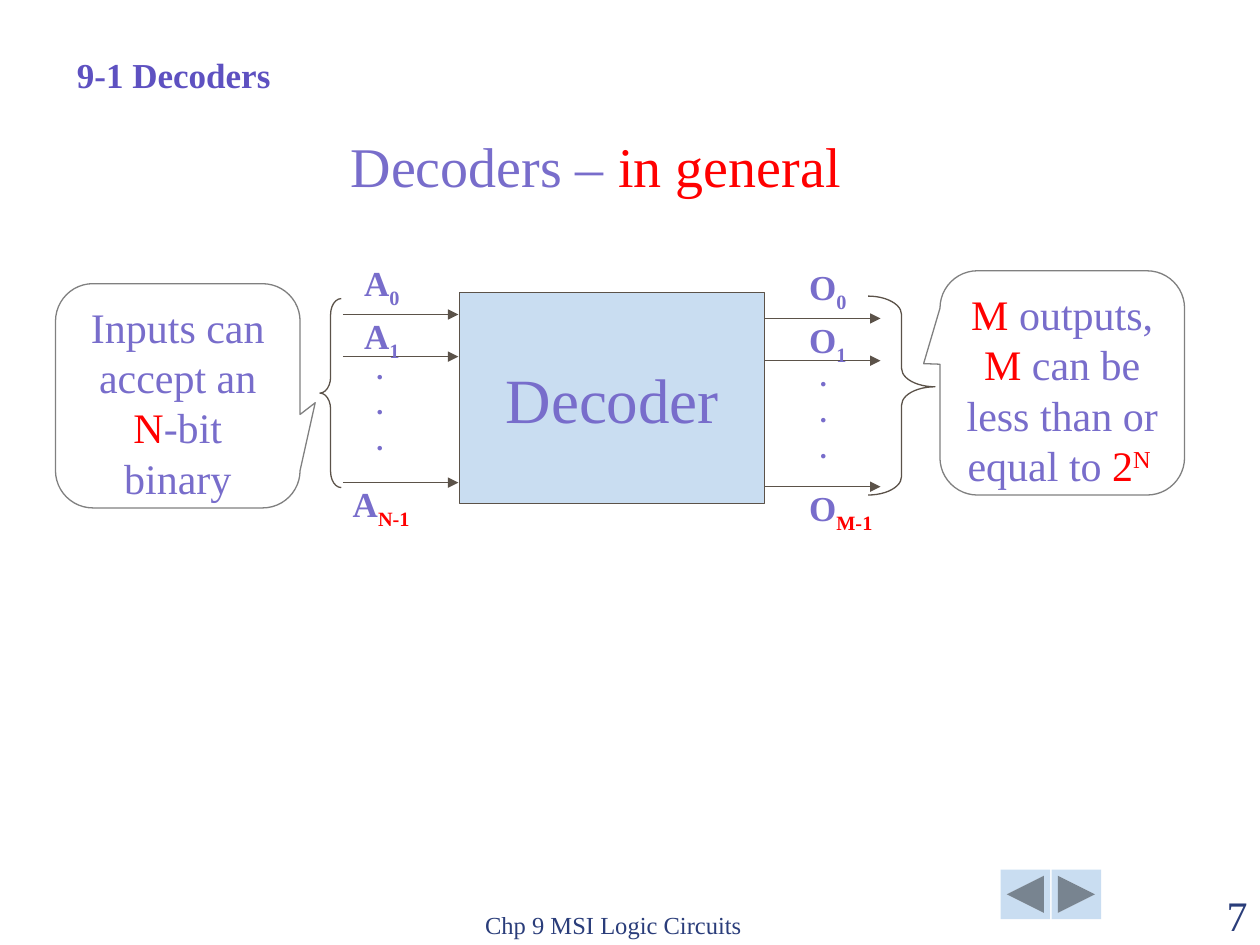
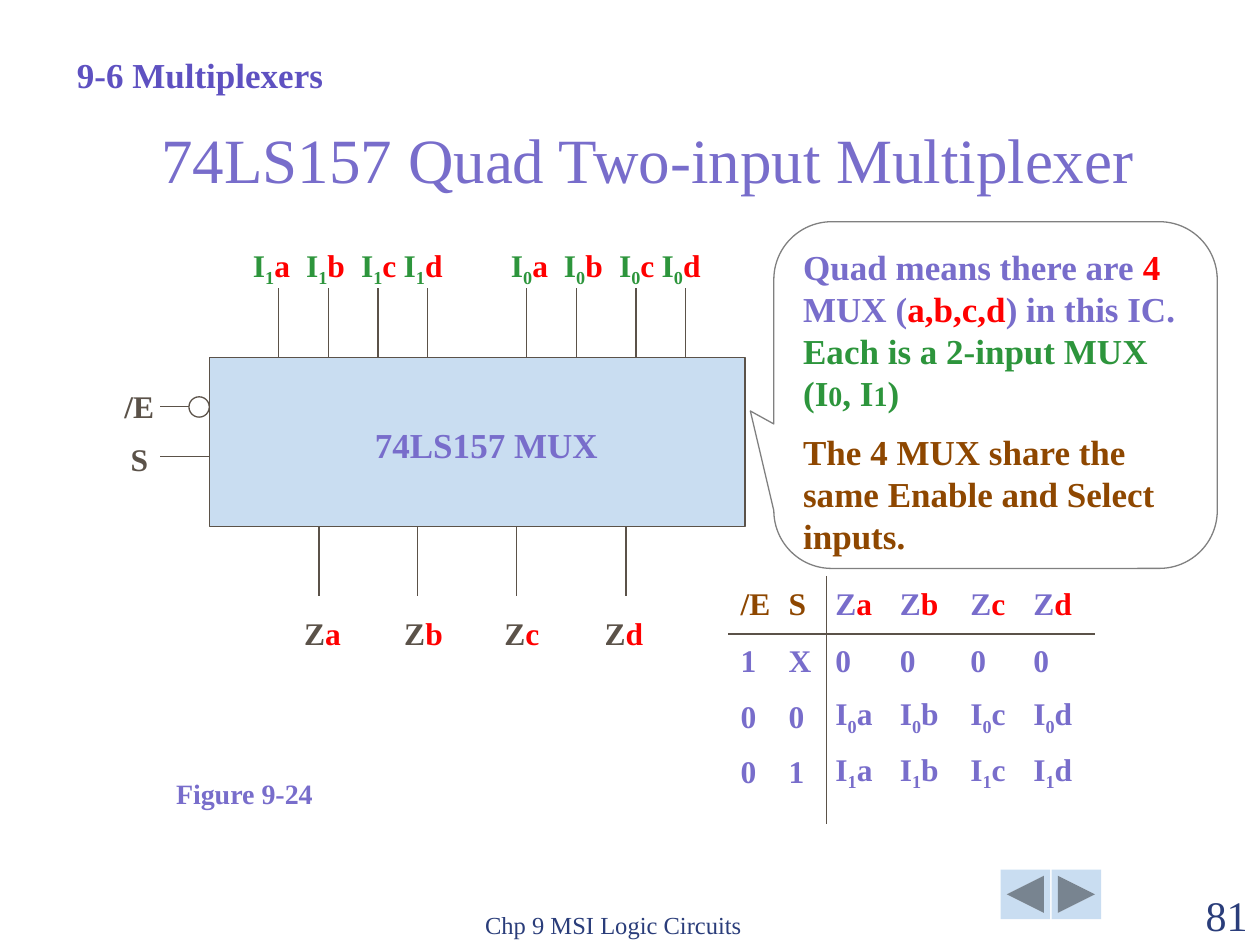
from lxml.etree import SubElement
from pptx import Presentation
from pptx.dml.color import RGBColor
from pptx.enum.shapes import MSO_CONNECTOR, MSO_SHAPE
from pptx.enum.text import MSO_ANCHOR, PP_ALIGN
from pptx.oxml.ns import qn
from pptx.util import Cm, Pt

# Shared look
FONT = "Times New Roman"
VIOLET, INDIGO, NAVY = "786DCB", "5E51C1", "2A3D7A"
RED, GREEN, BROWN = "FF0000", "2D953C", "8E4700"
INK, GREY, PALE = "5B5249", "808080", "C9DDF1"
INSET = (0.25, 0.13)
FOOTER = "Chp 9 MSI Logic Circuits"

# Content: a paragraph is a list of runs, a run is a text or (text, format)
DECODERS = {
    "section": "9-1 Decoders",
    "title": ["Decoders – ", ("in general", {"color": RED})],
    "title_box": (4.62, 2.57, 14.78, 1.52), "title_size": 32,
    "number": "7",
}
# letter, last index, arrow start, label left, last label left, dots left, drop
PORTS = [
    ("A", "N-1", 6.91, 7.34, 7.11, 7.34, 0),
    ("O", "M-1", 15.42, 16.31, 16.31, 16.28, 0.08),
]
ARROW_YS = (6.34, 7.19, 9.73)
PORT_LABEL_TOPS = (5.28, 6.35, 9.73)
BRACES = [
    (MSO_SHAPE.LEFT_BRACE, (6.45, 6.02, 0.43, 3.81), (0.75, 0.5)),
    (MSO_SHAPE.RIGHT_BRACE, (17.5, 5.97, 1.35, 4.01), (0.276, 0.456)),
]
DECODER_NOTES = [
    ((1.12, 5.72, 4.93, 4.52), (0.562, 0.031, 0.167),
     [["Inputs can accept an ", ("N", {"color": RED}), "-bit binary"]]),
    ((18.95, 5.46, 4.93, 4.52), (-0.567, -0.086, 0.167),
     [[("M", {"color": RED}), " outputs,"],
      [("M", {"color": RED}), " can be less than or equal to ",
       ("2", {"color": RED}), ("N ", {"color": RED, "base": 30})]]),
]

MULTIPLEXERS = {
    "section": "9-6 Multiplexers",
    "title": ["74LS157 Quad Two-input Multiplexer"],
    "title_box": (2.26, 2.31, 21.59, 1.73), "title_size": 36,
    "number": "81",
}
CHANNELS = "abcd"
INPUT_GROUPS = [("1", 5.1), ("0", 10.3)]
INPUT_LABEL_STEPS = (0, 1.07, 2.18, 3.04)
INPUT_WIRE_XS = (5.61, 6.62, 7.62, 8.62, 10.62, 11.62, 12.82, 13.82)
OUTPUT_WIRE_XS = (6.43, 8.42, 10.41, 12.62)
OUTPUT_LABEL_LEFT, OUTPUT_LABEL_STEP = 6.13, 2.02
MUX_NOTE = [
    ["Quad means there are ", ("4", {"color": RED}), " MUX (",
     ("a,b,c,d", {"color": RED}), ") in this IC. ",
     ("Each is a 2-input MUX (I", {"color": GREEN}),
     ("0", {"color": GREEN, "size": 16}), (", I", {"color": GREEN}),
     ("1", {"color": GREEN, "size": 16}), (")", {"color": GREEN})],
    [("The 4 MUX share the same Enable and Select inputs.", {"color": BROWN})],
]


def channel_label(letter, channel, index="", color=VIOLET, channel_color=VIOLET):
    """Runs such as I, lowered 0, a."""
    runs = [(letter, {"color": color})]
    if index:
        runs.append((index, {"color": color, "base": -25}))
    return runs + [(channel, {"color": channel_color})]


TRUTH_TABLE = [
    [[(name, {"color": BROWN})] for name in ("/E", "S")]
    + [channel_label("Z", c, channel_color=RED) for c in CHANNELS],
    [[value] for value in "1X0000"],
    [["0"], ["0"]] + [channel_label("I", c, "0") for c in CHANNELS],
    [["0"], ["1"]] + [channel_label("I", c, "1") for c in CHANNELS],
]
TRUTH_COLUMNS = (0.97, 0.94, 1.3, 1.42, 1.27, 1.24)
TRUTH_ROWS = (1.17, 1.12, 1.12, 1.12)


def rgb(code):
    return RGBColor.from_string(code)


def write(frame, paragraphs, size=20, color=VIOLET, bold=False, align=PP_ALIGN.LEFT,
          anchor=MSO_ANCHOR.TOP, inset=INSET, before=0, spacing=None):
    frame.word_wrap = True
    frame.vertical_anchor = anchor
    frame.margin_left = frame.margin_right = Cm(inset[0])
    frame.margin_top = frame.margin_bottom = Cm(inset[1])
    for i, runs in enumerate(paragraphs):
        paragraph = frame.add_paragraph() if i else frame.paragraphs[0]
        paragraph.alignment = align
        paragraph.space_before = Pt(before if i else 0)
        if spacing:
            paragraph.line_spacing = spacing
        for part in runs:
            text, style = (part, {}) if isinstance(part, str) else part
            run = paragraph.add_run()
            run.text = text
            run.font.name = FONT
            run.font.size = Pt(style.get("size", size))
            run.font.bold = bold
            run.font.color.rgb = rgb(style.get("color", color))
            if "base" in style:
                run._r.get_or_add_rPr().set("baseline", str(style["base"] * 1000))


def add_text(slide, box, paragraphs, **style):
    write(slide.shapes.add_textbox(*map(Cm, box)).text_frame, paragraphs, **style)


def add_label(slide, box, runs, **style):
    add_text(slide, box, [runs], bold=True, inset=(0, 0), **style)


def add_figure(slide, kind, box, fill=None, line=INK, adjust=()):
    figure = slide.shapes.add_shape(kind, *map(Cm, box))
    figure.shadow.inherit = False
    if fill:
        figure.fill.solid()
        figure.fill.fore_color.rgb = rgb(fill)
    else:
        figure.fill.background()
    if line:
        figure.line.color.rgb = rgb(line)
        figure.line.width = Pt(0.75)
    else:
        figure.line.fill.background()
    for i, value in enumerate(adjust):
        figure.adjustments[i] = value
    return figure


def add_callout(slide, box, adjust, paragraphs, **style):
    callout = add_figure(slide, MSO_SHAPE.ROUNDED_RECTANGULAR_CALLOUT, box,
                         line=GREY, adjust=adjust)
    write(callout.text_frame, paragraphs, **style)


def add_wire(slide, x1, y1, x2, y2, arrow=False):
    wire = slide.shapes.add_connector(MSO_CONNECTOR.STRAIGHT, *map(Cm, (x1, y1, x2, y2)))
    wire.line.color.rgb = rgb(INK)
    wire.line.width = Pt(0.75)
    properties = wire._element.spPr
    if arrow:
        SubElement(properties.find(qn("a:ln")), qn("a:tailEnd"), type="triangle")
    SubElement(properties, qn("a:effectLst"))


def start_slide(prs, content):
    """Title, section name, navigation buttons and footer."""
    slide = prs.slides.add_slide(prs.slide_layouts[5])
    title = slide.shapes.title
    title.left, title.top, title.width, title.height = map(Cm, content["title_box"])
    write(title.text_frame, [content["title"]], size=content["title_size"],
          align=PP_ALIGN.CENTER, anchor=MSO_ANCHOR.BOTTOM, spacing=0.7)
    add_text(slide, (1.3, 0.95, 7, 1.09), [[content["section"]]], color=INDIGO, bold=True)
    buttons = (MSO_SHAPE.ACTION_BUTTON_BACK_OR_PREVIOUS,
               MSO_SHAPE.ACTION_BUTTON_FORWARD_OR_NEXT)
    for i, button in enumerate(buttons):
        add_figure(slide, button, (20.17 + 1.03 * i, 17.53, 1, 1), fill=PALE, line=None)
    footer = {"color": NAVY, "anchor": MSO_ANCHOR.BOTTOM}
    add_text(slide, (9.53, 17.8, 8.05, 1.27), [[FOOTER]], size=14, **footer)
    add_text(slide, (22.86, 17.8, 2.54, 1.27), [[content["number"]]], size=24,
             align=PP_ALIGN.RIGHT, **footer)
    return slide


def build_decoders(prs):
    slide = start_slide(prs, DECODERS)
    decoder = add_figure(slide, MSO_SHAPE.RECTANGLE, (9.27, 5.9, 6.15, 4.25), fill=PALE)
    write(decoder.text_frame, [["Decoder"]], size=36, align=PP_ALIGN.CENTER,
          anchor=MSO_ANCHOR.MIDDLE)
    for kind, box, adjust in BRACES:
        add_figure(slide, kind, box, adjust=adjust)

    # Input and output lines with their labels
    for letter, last, start, left, last_left, dots_left, drop in PORTS:
        for y in ARROW_YS:
            add_wire(slide, start, y + drop, start + 2.33, y + drop, arrow=True)
        indexes = [("0", VIOLET, left), ("1", VIOLET, left), (last, RED, last_left)]
        for (index, color, x), top in zip(indexes, PORT_LABEL_TOPS):
            add_label(slide, (x, top + drop, 1.9, 0.84),
                      [letter, (index, {"color": color, "base": -25})])
        add_text(slide, (dots_left, 7.16 + 2 * drop, 0.66, 2.26), [["."]] * 3, size=16,
                 bold=True, before=8, spacing=0.65)

    for box, adjust, paragraphs in DECODER_NOTES:
        add_callout(slide, box, adjust, paragraphs, size=24, align=PP_ALIGN.CENTER)


def build_truth_table(slide):
    left, top = 14.93, 11.61
    table = slide.shapes.add_table(
        len(TRUTH_ROWS), len(TRUTH_COLUMNS), Cm(left), Cm(top),
        Cm(sum(TRUTH_COLUMNS)), Cm(sum(TRUTH_ROWS))).table
    table.first_row = table.horz_banding = False
    for column, width in zip(table.columns, TRUTH_COLUMNS):
        column.width = Cm(width)
    for r, height in enumerate(TRUTH_ROWS):
        table.rows[r].height = Cm(height)
        for c, runs in enumerate(TRUTH_TABLE[r]):
            cell = table.cell(r, c)
            write(cell.text_frame, [runs], size=18, bold=True)
            cell.margin_left = cell.margin_right = 0
            cell.margin_top = cell.margin_bottom = 0
            cell.vertical_anchor = MSO_ANCHOR.MIDDLE
            # Only the two rules show
            for side in ("a:lnL", "a:lnR", "a:lnT", "a:lnB"):
                border = SubElement(cell._tc.get_or_add_tcPr(), qn(side), w="0")
                SubElement(border, qn("a:noFill"))
            cell.fill.background()
            properties = cell._tc.get_or_add_tcPr()
            properties.append(properties.find(qn("a:noFill")))
    add_wire(slide, 16.66, top, 16.66, 16.61)
    add_wire(slide, 14.68, top + TRUTH_ROWS[0], 22.07, top + TRUTH_ROWS[0])


def build_multiplexers(prs):
    slide = start_slide(prs, MULTIPLEXERS)

    # Chip
    left, top, width, height = chip = (4.22, 7.21, 10.8, 3.4)
    add_figure(slide, MSO_SHAPE.RECTANGLE, chip, fill=PALE)
    add_text(slide, (6.81, 8.41, 5.99, 1.09), [["74LS157 MUX"]], bold=True,
             align=PP_ALIGN.CENTER)

    # Enable and select
    add_figure(slide, MSO_SHAPE.OVAL, (3.81, 8, 0.41, 0.41))
    add_wire(slide, 3.23, 8.2, 3.81, 8.2)
    add_wire(slide, 3.23, 9.2, left, 9.2)
    add_text(slide, (2.41, 7.8, 0.8, 1.91), [["/E"], ["S"]], size=18, color=INK,
             bold=True, align=PP_ALIGN.CENTER, inset=(0, 0), before=9)

    # Data inputs and outputs
    for x in INPUT_WIRE_XS:
        add_wire(slide, x, top - 1.4, x, top)
    for x in OUTPUT_WIRE_XS:
        add_wire(slide, x, top + height, x, top + height + 1.4)
    for index, group_left in INPUT_GROUPS:
        for step, channel in zip(INPUT_LABEL_STEPS, CHANNELS):
            add_label(slide, (group_left + step, 4.95, 1.1, 0.8),
                      channel_label("I", channel, index, GREEN, RED), size=18)
    for i, channel in enumerate(CHANNELS):
        add_label(slide, (OUTPUT_LABEL_LEFT + OUTPUT_LABEL_STEP * i, 12.37, 1.2, 0.8),
                  channel_label("Z", channel, color=INK, channel_color=RED), size=18)

    build_truth_table(slide)
    add_text(slide, (3.3, 15.52, 3.5, 0.94), [["Figure 9-24"]], size=16, bold=True)
    add_callout(slide, (15.6, 4.47, 8.94, 6.99), (-0.553, 0.046, 0.167), MUX_NOTE,
                bold=True, before=10)


def main():
    prs = Presentation()
    prs.slide_width, prs.slide_height = Cm(25.4), Cm(19.05)
    build_decoders(prs)
    build_multiplexers(prs)
    prs.save("out.pptx")


if __name__ == "__main__":
    main()
